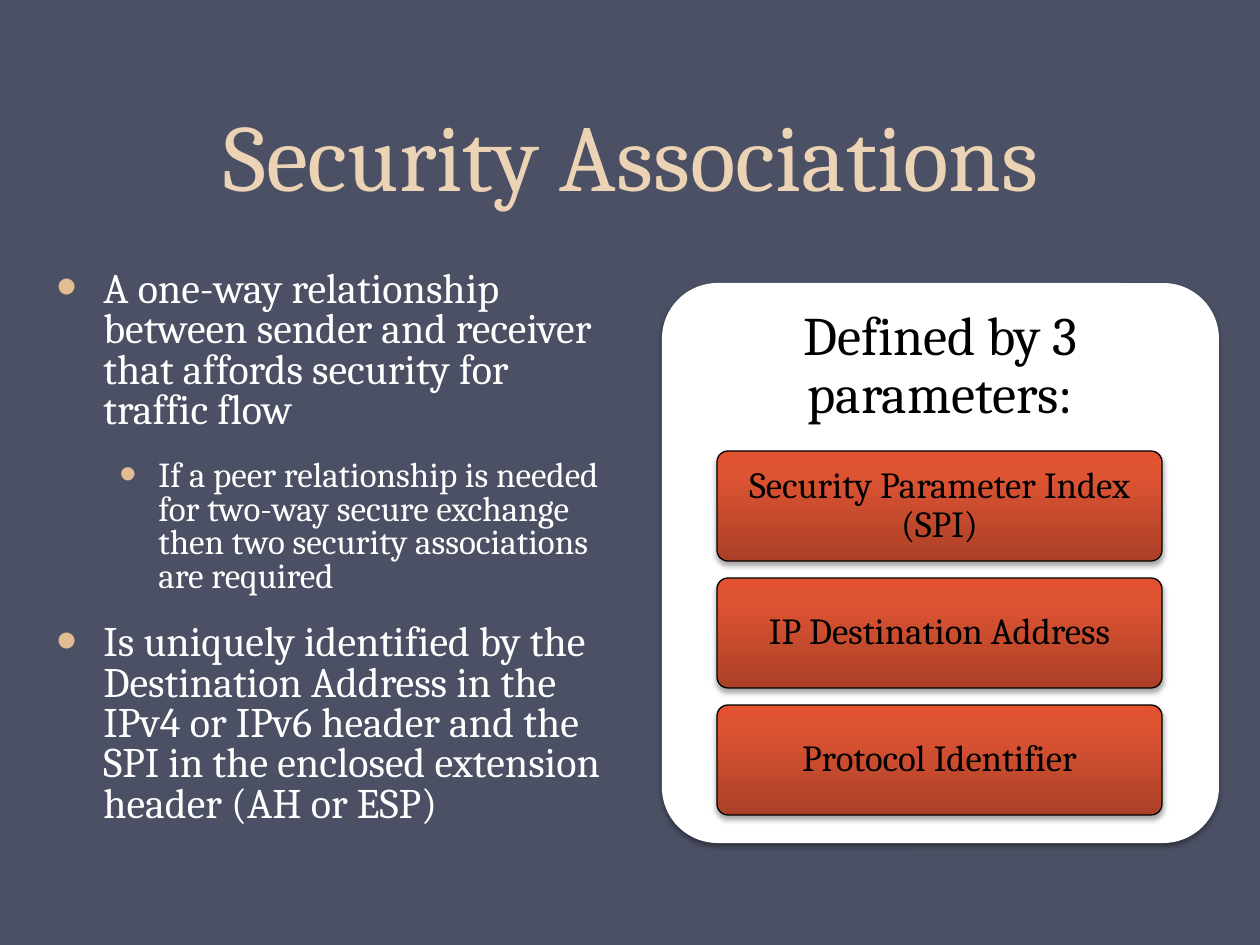
from lxml import etree
from pptx import Presentation
from pptx.dml.color import RGBColor
from pptx.enum.shapes import MSO_SHAPE
from pptx.enum.text import MSO_ANCHOR, PP_ALIGN
from pptx.oxml import parse_xml
from pptx.oxml.ns import nsdecls, qn
from pptx.util import Emu, Pt

ROUND = MSO_SHAPE.ROUNDED_RECTANGLE
MIDDLE, BOTTOM = MSO_ANCHOR.MIDDLE, MSO_ANCHOR.BOTTOM
CENTER = PP_ALIGN.CENTER
FONT = "Cambria"
SLATE = RGBColor(0x4B, 0x50, 0x64)
CREAM = RGBColor(0xED, 0xD3, 0xB6)
TAN = RGBColor(0xE3, 0xBC, 0x92)
WHITE = RGBColor(0xFF, 0xFF, 0xFF)
BLACK = RGBColor(0x00, 0x00, 0x00)
RUST = RGBColor(0xAB, 0x40, 0x27)
BRICK = RGBColor(0xDE, 0x54, 0x33)
FLAME = RGBColor(0xE3, 0x52, 0x30)
STOPS = [(0, RUST), (80, BRICK), (100, FLAME)]
POINTS = [
    (0, "A one-way relationship between sender and receiver that affords "
        "security for traffic flow"),
    (1, "If a peer relationship is needed for two-way secure exchange then "
        "two security associations are required"),
    (0, "Is uniquely identified by the Destination Address in the IPv4 or "
        "IPv6 header and the SPI in the enclosed extension header "
        "(AH or ESP)"),
]
LEVELS = [(24, 5, 47, 47), (20, 4, 102, 39)]
PARAMS = ["Security Parameter Index (SPI)", "IP Destination Address",
          "Protocol Identifier"]


def px(count):
    """Turn pixels into EMU."""
    return Emu(round(count * 914400 / 126))


def place(shape, *box):
    """Set left, top, width and height in pixels."""
    shape.left, shape.top, shape.width, shape.height = map(px, box)


def style(para, size, color):
    """Set the font of every run."""
    for run in para.runs:
        run.font.name, run.font.size = FONT, Pt(size)
        run.font.color.rgb = color


def label(shape, text, size, side, edge):
    """Write centred black text with the given insets."""
    frame = shape.text_frame
    frame.text = text
    frame.word_wrap = True
    frame.vertical_anchor = MIDDLE
    frame.margin_left = frame.margin_right = px(side)
    frame.margin_top = frame.margin_bottom = px(edge)
    para = frame.paragraphs[0]
    para.alignment, para.line_spacing = CENTER, 0.9
    style(para, size, BLACK)


def shade(shape):
    """Give a shape a soft shadow below it."""
    shape.shadow.inherit = False
    shape._element.spPr.find(qn("a:effectLst")).append(parse_xml(
        f'<a:outerShdw {nsdecls("a")} blurRad="{Pt(3.1)}" dist="{Pt(1.8)}" '
        'dir="5400000" rotWithShape="0"><a:srgbClr val="000000">'
        '<a:alpha val="35000"/></a:srgbClr></a:outerShdw>'))


def blend(shape):
    """Fill a shape with an upward gradient."""
    stops = "".join(f'<a:gs pos="{pos * 1000}"><a:srgbClr val="{color}"/></a:gs>'
                    for pos, color in STOPS)
    shape._element.spPr.find(qn("a:prstGeom")).addnext(parse_xml(
        f'<a:gradFill {nsdecls("a")} rotWithShape="1"><a:gsLst>{stops}</a:gsLst>'
        '<a:lin ang="16200000" scaled="0"/></a:gradFill>'))


def add_card(slide, *box):
    """Add a shadowed rounded rectangle."""
    card = slide.shapes.add_shape(ROUND, *map(px, box))
    card.adjustments[0] = 0.1
    shade(card)
    return card


def add_panel(slide):
    """Add the white panel and its heading."""
    panel = add_card(slide, 662, 283, 557, 560)
    panel.fill.solid()
    panel.fill.fore_color.rgb = WHITE
    panel.line.fill.background()
    head = slide.shapes.add_textbox(*map(px, (662, 283, 557, 168)))
    label(head, "Defined by 3 parameters:", 31, 16, 16)


def add_button(slide, top, text):
    """Add one parameter button."""
    button = add_card(slide, 717, top, 445, 110)
    blend(button)
    button.line.color.rgb = BLACK
    button.line.width = Pt(0.75)
    label(button, text, 21, 8, 5)


def bullet(para, indent, hang):
    """Give a paragraph a hanging round bullet."""
    props = para._p.get_or_add_pPr()
    props.set("marL", str(px(indent)))
    props.set("indent", str(-px(hang)))
    color = etree.SubElement(props, qn("a:buClr"))
    etree.SubElement(color, qn("a:srgbClr"), val=str(TAN))
    etree.SubElement(props, qn("a:buSzPct"), val="140000")
    etree.SubElement(props, qn("a:buFont"), typeface="Arial")
    etree.SubElement(props, qn("a:buChar"), char="•")


def add_points(slide):
    """Add the bulleted list."""
    frame = slide.shapes.add_textbox(*map(px, (44, 265, 588, 635))).text_frame
    frame.word_wrap = True
    for index, (level, text) in enumerate(POINTS):
        para = frame.add_paragraph() if index else frame.paragraphs[0]
        size, before, indent, hang = LEVELS[level]
        para.text, para.level = text, level
        bullet(para, indent, hang)
        para.line_spacing, para.space_after = 0.8, Pt(12)
        para.space_before = Pt(before if index else 0)
        style(para, size, WHITE)


def add_title(slide):
    """Fill the title placeholder."""
    title = slide.shapes.title
    place(title, 64, -4, 1134, 221)
    frame = title.text_frame
    frame.text = "Security Associations"
    frame.vertical_anchor = BOTTOM
    para = frame.paragraphs[0]
    para.alignment, para.line_spacing = CENTER, Pt(58)
    style(para, 54, CREAM)


def main():
    """Build and save the slide."""
    deck = Presentation()
    deck.slide_width, deck.slide_height = px(1260), px(945)
    slide = deck.slides.add_slide(deck.slide_layouts[5])
    slide.background.fill.solid()
    slide.background.fill.fore_color.rgb = SLATE
    add_title(slide)
    add_points(slide)
    add_panel(slide)
    for row, text in enumerate(PARAMS):
        add_button(slide, 451 + 127 * row, text)
    deck.save("out.pptx")


if __name__ == "__main__":
    main()
